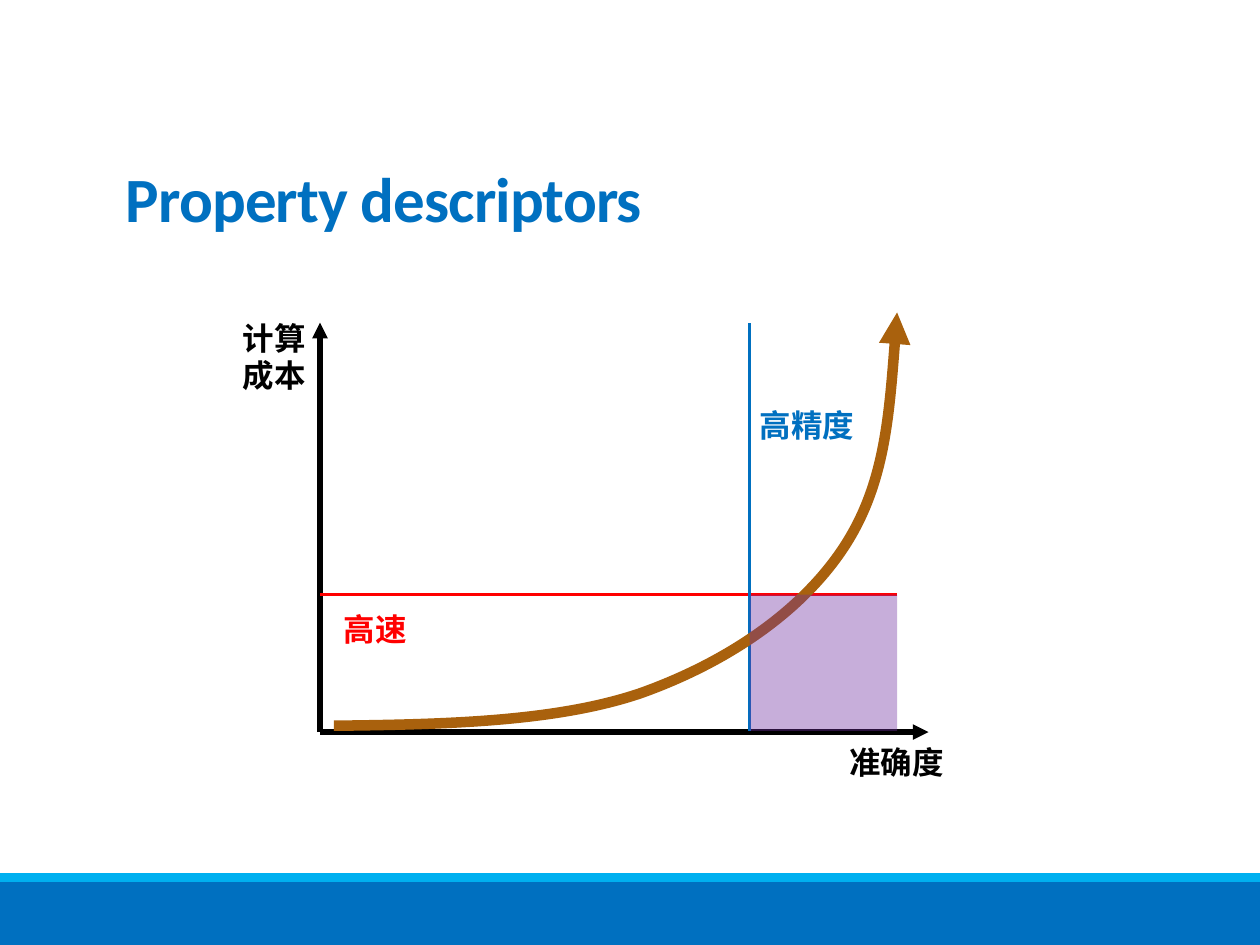
import lxml.etree
import pptx
import pptx.dml.color
import pptx.enum.shapes
import pptx.enum.text
import pptx.oxml
import pptx.oxml.ns
import pptx.util

Inches = pptx.util.Inches
Pt = pptx.util.Pt
RGBColor = pptx.dml.color.RGBColor
SHAPE = pptx.enum.shapes.MSO_SHAPE
qn = pptx.oxml.ns.qn

BLACK = RGBColor(0x00, 0x00, 0x00)
BLUE = RGBColor(0x00, 0x70, 0xC0)
SKY = RGBColor(0x00, 0xB0, 0xF0)
RED = RGBColor(0xFF, 0x00, 0x00)
BROWN = RGBColor(0xA9, 0x61, 0x0D)
PURPLE = RGBColor(0x70, 0x30, 0xA0)


def add_box(shapes, left, top, width, height, color):
    box = shapes.add_shape(SHAPE.RECTANGLE, Inches(left), Inches(top),
                           Inches(width), Inches(height))
    box.shadow.inherit = False
    box.fill.solid()
    box.fill.fore_color.rgb = color
    box.line.fill.background()
    return box


def style_line(shape, color, width, arrow):
    shape.line.color.rgb = color
    shape.line.width = Pt(width)
    if arrow:
        line = shape.line._get_or_add_ln()
        lxml.etree.SubElement(line, qn("a:tailEnd"), type="triangle")


deck = pptx.Presentation()
deck.slide_width = Inches(10)
deck.slide_height = Inches(7.5)
slide = deck.slides.add_slide(deck.slide_layouts[6])

# Footer bands
add_box(slide.shapes, 0, 7, 10, 0.5, BLUE)
add_box(slide.shapes, 0, 6.93, 10, 0.07, SKY)

# Title
title = slide.shapes.add_textbox(Inches(0.9), Inches(0.33), Inches(8.25), Inches(1.59))
frame = title.text_frame
frame.word_wrap = True
frame.vertical_anchor = pptx.enum.text.MSO_ANCHOR.BOTTOM
para = frame.paragraphs[0]
para.line_spacing = 0.85
run = para.add_run()
run.text = "Property descriptors"
run.font.name = "Calibri"
run.font.size = Pt(36)
run.font.bold = True
run.font.color.rgb = BLUE
run.font._element.set("spc", "-50")

# Axes and limits of the graph
graph = slide.shapes.add_group_shape().shapes
left, base = 2.54, 5.81
right, top = 7.12, 2.56
limit_x, limit_y = 5.95, 4.72
lines = [
    (left, base, left, top, BLACK, 3, True),
    (left, base, 7.37, base, BLACK, 3, True),
    (left, limit_y, right, limit_y, RED, 1.5, False),
    (limit_x, 5.8, limit_x, top, BLUE, 1.5, False),
]
for x1, y1, x2, y2, color, width, arrow in lines:
    line = graph.add_connector(pptx.enum.shapes.MSO_CONNECTOR.STRAIGHT,
                               Inches(x1), Inches(y1), Inches(x2), Inches(y2))
    style_line(line, color, width, arrow)
    lxml.etree.SubElement(line._element.spPr, qn("a:effectLst"))

# Cost curve: a start, then two controls and an end for each Bezier piece
points = [
    (2.65, 5.76),
    (3.53, 5.75), (4.42, 5.73), (5.09, 5.5),
    (5.76, 5.26), (6.34, 4.87), (6.68, 4.37),
    (7.02, 3.87), (7.07, 3.17), (7.12, 2.48),
]
points = [(Inches(x), Inches(y)) for x, y in points]
outline = graph.build_freeform(*points[0])
outline.add_line_segments(points[1:], close=False)
curve = outline.convert_to_shape()
curve.shadow.inherit = False
curve.fill.background()
style_line(curve, BROWN, 6, True)
track = curve._element.find(".//" + qn("a:path"))
steps = track.findall(qn("a:lnTo"))
for start in range(0, len(steps), 3):
    piece = lxml.etree.SubElement(track, qn("a:cubicBezTo"))
    for step in steps[start:start + 3]:
        piece.append(step[0])
        track.remove(step)

# Target zone
zone = add_box(graph, limit_x, limit_y, right - limit_x, 5.8 - limit_y, PURPLE)
tint = zone._element.spPr.find(qn("a:solidFill"))[0]
lxml.etree.SubElement(tint, qn("a:alpha"), val="39000")

# Labels
labels = [
    (1.83, 2.48, 0.71, 0.71, ["计算", "成本"], BLACK),
    (6.64, 5.85, 0.96, 0.4, ["准确度"], BLACK),
    (2.63, 4.79, 0.71, 0.4, ["高速"], RED),
    (5.93, 3.17, 0.96, 0.4, ["高精度"], BLUE),
]
for x, y, width, height, rows, color in labels:
    label = graph.add_textbox(Inches(x), Inches(y), Inches(width), Inches(height))
    frame = label.text_frame
    frame.word_wrap = False
    frame.auto_size = pptx.enum.text.MSO_AUTO_SIZE.SHAPE_TO_FIT_TEXT
    for index, row in enumerate(rows):
        para = frame.add_paragraph() if index else frame.paragraphs[0]
        run = para.add_run()
        run.text = row
        run.font.name = "Calibri"
        run.font.size = Pt(18)
        run.font.bold = True
        run.font.color.rgb = color

deck.save("out.pptx")
